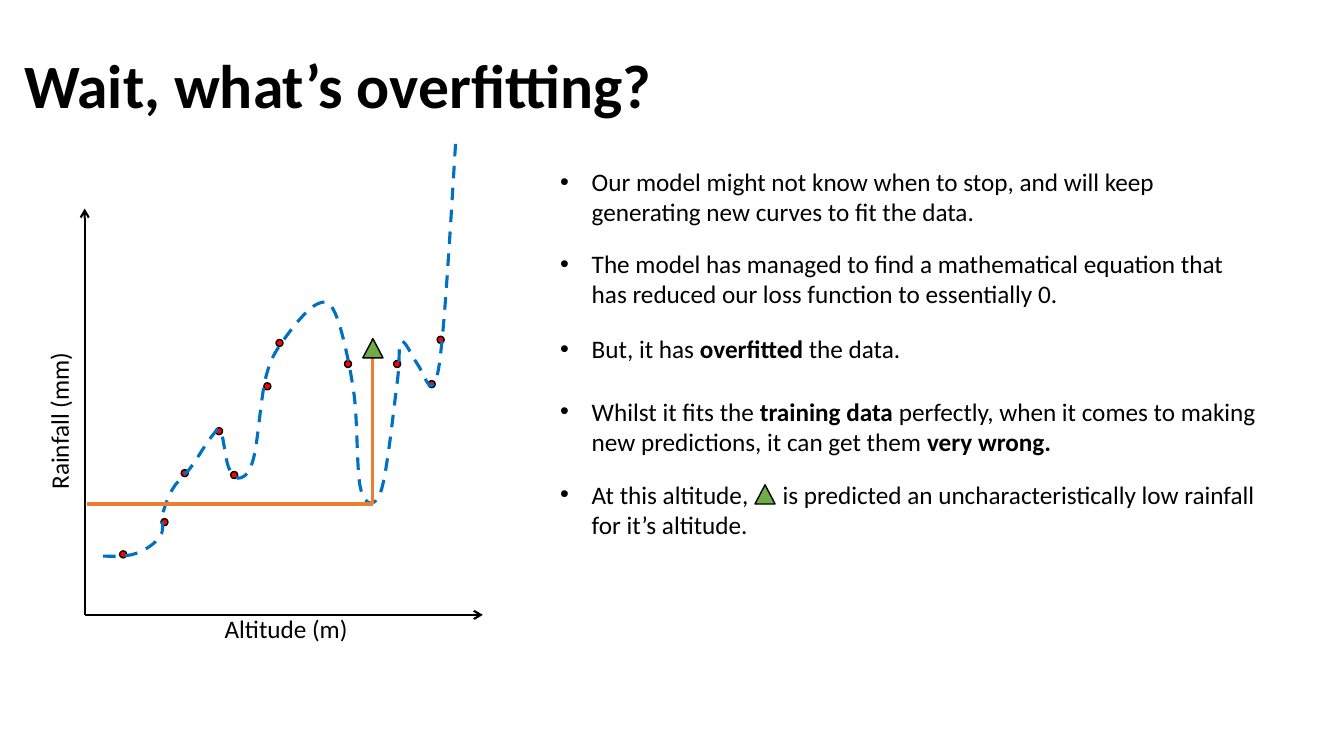
"""Build the slide that explains overfitting with a rainfall curve."""
from lxml import etree
from pptx import Presentation
from pptx.dml.color import RGBColor
from pptx.enum.dml import MSO_LINE
from pptx.enum.shapes import MSO_CONNECTOR, MSO_SHAPE
from pptx.enum.text import MSO_ANCHOR
from pptx.oxml.ns import qn
from pptx.util import Pt

STRAIGHT = MSO_CONNECTOR.STRAIGHT
OVAL, TRIANGLE = MSO_SHAPE.OVAL, MSO_SHAPE.ISOSCELES_TRIANGLE
MIDDLE, DASH = MSO_ANCHOR.MIDDLE, MSO_LINE.DASH
COLOURS = {"ink": "000000", "point": "FF0000", "curve": "0070C0",
           "prediction": "ED7D31", "outlier": "70AD47"}

ORIGIN_X, ORIGIN_Y = 60.5, 439.2
AXIS_RIGHT, AXIS_TOP = 344.9, 149
OUTLIER_X, OUTLIER_TOP = 266.4, 241.9
PREDICTED_Y = 360
DOT_SIZE = 5
TRIANGLE_WIDTH, TRIANGLE_HEIGHT = 14.4, 13.7
BULLET_LEFT, BULLET_WIDTH, BULLET_INDENT = 393.1, 516.2, 22.5
LINE_HEIGHT, BOX_PADDING = 22, 7
SYMBOL_GAP = 20.3

presentation = Presentation()
presentation.slide_width, presentation.slide_height = Pt(960), Pt(540)
slide = presentation.slides.add_slide(presentation.slide_layouts[6])
shapes = slide.shapes


def add_text(left, top, width, height, text, size=18, wrap=True, bullet=False):
    """Add a text box; words between ** marks are bold, ^ leaves room for a symbol."""
    box = shapes.add_textbox(Pt(left), Pt(top), Pt(width), Pt(height))
    box.text_frame.word_wrap = wrap
    paragraph = box.text_frame.paragraphs[0]
    if bullet:
        properties = paragraph._p.get_or_add_pPr()
        properties.set("marL", str(Pt(BULLET_INDENT)))
        properties.set("indent", str(Pt(-BULLET_INDENT)))
        etree.SubElement(properties, qn("a:buFont")).set("typeface", "Arial")
        etree.SubElement(properties, qn("a:buChar")).set("char", "•")
    paragraph.font.name, paragraph.font.size = "Calibri", Pt(size)
    paragraph.font.color.rgb = RGBColor.from_string(COLOURS["ink"])
    for part_index, part in enumerate(text.split("**")):
        for piece_index, piece in enumerate(part.split("^")):
            if piece_index:
                gap = paragraph.add_run()
                gap.text = " "
                gap._r.get_or_add_rPr().set("spc", str(round(SYMBOL_GAP * 100)))
            if piece:
                run = paragraph.add_run()
                run.text = piece
                if part_index % 2:
                    run.font.bold = True
    return box


def add_marker(kind, left, top, width, height, colour):
    """Add a filled marker with a thin dark outline."""
    marker = shapes.add_shape(kind, Pt(left), Pt(top), Pt(width), Pt(height))
    marker.shadow.inherit = False
    marker.fill.solid()
    marker.fill.fore_color.rgb = RGBColor.from_string(COLOURS[colour])
    marker.line.color.rgb = RGBColor.from_string(COLOURS["ink"])
    marker.line.width = Pt(1)


title = add_text(10.1, 10.8, 828, 104.4, "**Wait, what’s overfitting?**", size=44)
title.text_frame.vertical_anchor = MIDDLE
title.text_frame.paragraphs[0].line_spacing = 0.9

add_text(153.4, 434.9, 103.7, 28.8, "Altitude (m)", wrap=False)
rainfall_label = add_text(-14.4, 285.8, 113, 28.8, "Rainfall (mm)", wrap=False)
rainfall_label.rotation = 270

rainfall_readings = [
    (88, 396), (117.5, 373), (132, 338), (156.5, 308), (167.3, 339.3), (191, 276),
    (199.7, 245), (248.6, 260), (283.7, 260), (308.4, 274.4), (314.8, 242.7),
]
for x, y in rainfall_readings:
    add_marker(OVAL, x - DOT_SIZE / 2, y - DOT_SIZE / 2, DOT_SIZE, DOT_SIZE, "point")

curve_anchors = [
    (73.7, 397.2), (97.2, 395.3), (114.5, 383), (116.6, 365.8), (123.8, 348.5),
    (136.1, 334.1), (151.2, 311.8), (157.7, 308.2), (163.4, 334.1), (172.1, 341.3),
    (181.4, 326.2), (190.1, 268.6), (203.8, 241.2), (226.1, 217.4), (239.8, 224.6),
    (252.7, 280.1), (257.8, 349.9), (272.2, 350.6), (283.7, 273.6), (286.6, 244.1),
    (298.1, 259.9), (308.9, 275), (316.1, 239.8), (325.4, 102.6),
]

# Each handle is a sixth of the step between the anchor's two neighbours.
handles_in, handles_out = [], []
for before, anchor, after in zip(curve_anchors, curve_anchors[1:], curve_anchors[2:]):
    step_x, step_y = (after[0] - before[0]) / 6, (after[1] - before[1]) / 6
    handles_in.append((anchor[0] - step_x, anchor[1] - step_y))
    handles_out.append((anchor[0] + step_x, anchor[1] + step_y))
start, end = curve_anchors[0], curve_anchors[-1]
first, last = handles_in[0], handles_out[-1]
handles_out.insert(0, ((start[0] + first[0]) / 2, (start[1] + first[1]) / 2))
handles_in.append(((end[0] + last[0]) / 2, (end[1] + last[1]) / 2))

curve_points = []
for bend in zip(handles_out, handles_in, curve_anchors[1:]):
    curve_points.extend((Pt(x), Pt(y)) for x, y in bend)
builder = shapes.build_freeform(Pt(start[0]), Pt(start[1]))
builder.add_line_segments(curve_points, close=False)
curve = builder.convert_to_shape()
curve.shadow.inherit = False
curve.fill.background()
curve.line.color.rgb = RGBColor.from_string(COLOURS["curve"])
curve.line.width = Pt(2.25)
curve.line.dash_style = DASH
segments = curve._element.xpath(".//a:lnTo")
for index in range(0, len(segments), 3):
    outline = segments[index].getparent()
    bezier = etree.SubElement(outline, qn("a:cubicBezTo"))
    for segment in segments[index:index + 3]:
        bezier.append(segment[0])
        outline.remove(segment)

lines = [
    (ORIGIN_X, ORIGIN_Y, AXIS_RIGHT, ORIGIN_Y, "ink", 1.5),
    (ORIGIN_X, ORIGIN_Y, ORIGIN_X, AXIS_TOP, "ink", 1.5),
    (OUTLIER_X, OUTLIER_TOP, OUTLIER_X, PREDICTED_Y, "prediction", 2.25),
    (ORIGIN_X + 2, PREDICTED_Y, OUTLIER_X, PREDICTED_Y, "prediction", 2.25),
]
for x1, y1, x2, y2, colour, width in lines:
    connector = shapes.add_connector(STRAIGHT, Pt(x1), Pt(y1), Pt(x2), Pt(y2))
    connector.line.color.rgb = RGBColor.from_string(COLOURS[colour])
    connector.line.width = Pt(width)
    if colour == "ink":
        etree.SubElement(connector.line._get_or_add_ln(), qn("a:tailEnd")).set("type", "arrow")
    etree.SubElement(connector._element.spPr, qn("a:effectLst"))

bullets = [
    (115.2, 2, "Our model might not know when to stop, and will keep "
               "generating new curves to fit the data."),
    (174, 2, "The model has managed to find a mathematical equation that "
             "has reduced our loss function to essentially 0."),
    (234.7, 1, "But, it has **overfitted** the data."),
    (279.4, 2, "Whilst it fits the **training data** perfectly, when it comes to "
               "making new predictions, it can get them **very wrong.**"),
    (338.6, 2, "At this altitude,^is predicted an uncharacteristically low "
               "rainfall for it’s altitude."),
]
for top, line_count, text in bullets:
    height = line_count * LINE_HEIGHT + BOX_PADDING
    add_text(BULLET_LEFT, top, BULLET_WIDTH, height, text, bullet=True)

for centre_x, top in [(OUTLIER_X, OUTLIER_TOP), (546.5, 346.3)]:
    add_marker(TRIANGLE, centre_x - TRIANGLE_WIDTH / 2, top,
               TRIANGLE_WIDTH, TRIANGLE_HEIGHT, "outlier")

presentation.save("out.pptx")
